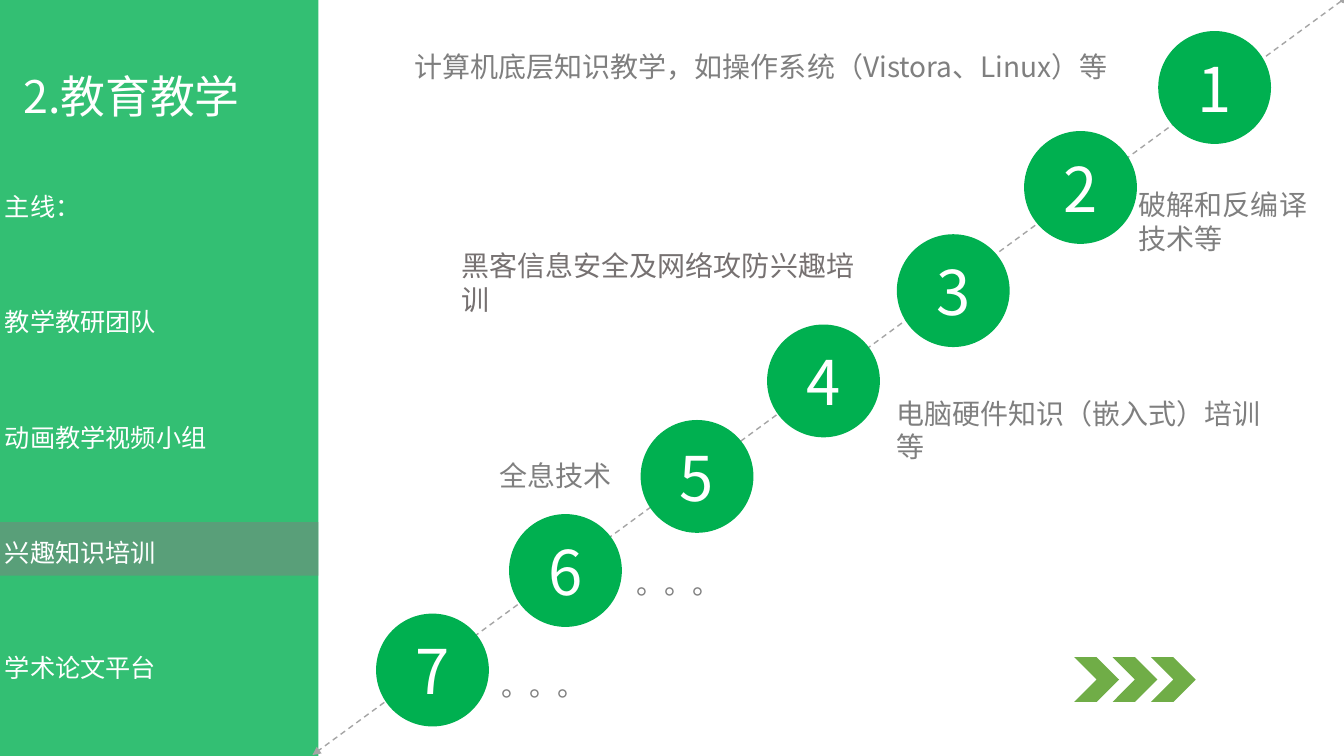
import pptx
import pptx.util
import pptx.dml.color
import pptx.enum.dml
import pptx.enum.lang
import pptx.enum.shapes
import pptx.enum.text
import pptx.oxml
import pptx.oxml.ns

Pt = pptx.util.Pt
Shape = pptx.enum.shapes.MSO_SHAPE
Align = pptx.enum.text.PP_ALIGN
Anchor = pptx.enum.text.MSO_ANCHOR
tag = pptx.oxml.ns.qn
COLORS = {
    "green": "00B050",
    "shade": "808080",
    "white": "FFFFFF",
    "gray": "7F7F7F",
    "warm gray": "767171",
    "line": "A5A5A5",
    "arrow": "70AD47",
}
FONT = "Noto Sans CJK SC"

deck = pptx.Presentation()
deck.slide_width, deck.slide_height = Pt(960), Pt(540)
page = deck.slides.add_slide(deck.slide_layouts[6])


def draw(kind, left, top, width, height, color, opacity=100):
    shape = page.shapes.add_shape(kind, Pt(left), Pt(top), Pt(width), Pt(height))
    shape.shadow.inherit = False
    shape.fill.solid()
    shape.fill.fore_color.rgb = pptx.dml.color.RGBColor.from_string(COLORS[color])
    shape.line.fill.background()
    if opacity < 100:
        fill = shape.fill._xPr.find(tag("a:solidFill"))[0]
        fill.append(pptx.oxml.parse_xml(
            f'<a:alpha {pptx.oxml.ns.nsdecls("a")} val="{opacity * 1000}"/>'))
    return shape


def write(text, box=None, area=None, size=20, color="gray", font=FONT,
          align=Align.LEFT, anchor=Anchor.TOP, wrap=False):
    if box is None:
        box = page.shapes.add_textbox(*[Pt(length) for length in area])
    frame = box.text_frame
    frame.word_wrap = wrap
    frame.vertical_anchor = anchor
    frame.text = text
    for para in frame.paragraphs:
        para.alignment = align
        for span in para.runs:
            span.font.size = Pt(size)
            span.font.name = font
            span.font.language_id = pptx.enum.lang.MSO_LANGUAGE_ID.SIMPLIFIED_CHINESE
            span.font.color.rgb = pptx.dml.color.RGBColor.from_string(COLORS[color])
            span.font._element.find(tag("a:latin")).addnext(pptx.oxml.parse_xml(
                f'<a:ea {pptx.oxml.ns.nsdecls("a")} typeface="{FONT}"/>'))


draw(Shape.RECTANGLE, 0, 0, 227.5, 540, "green", opacity=80)
write("2.教育教学", area=(0, 45.4, 188, 48.2), size=32, color="white",
      align=Align.CENTER, wrap=True)
draw(Shape.RECTANGLE, 0, 373, 227.5, 38.2, "shade", opacity=50)

menu = ["主线：", "教学教研团队", "动画教学视频小组", "兴趣知识培训", "学术论文平台"]
for index, label in enumerate(menu):
    width = 14.4 + 18 * len(label)
    write(label, area=(-3.6, 133.2 + 82.3 * index, width, 30.2), size=18, color="white")

path_line = page.shapes.add_connector(
    pptx.enum.shapes.MSO_CONNECTOR.STRAIGHT, Pt(960), Pt(-0.7), Pt(223.2), Pt(539.3))
path_line.line.color.rgb = pptx.dml.color.RGBColor.from_string(COLORS["line"])
path_line.line.width = Pt(1)
path_line.line.dash_style = pptx.enum.dml.MSO_LINE.DASH
outline = path_line.line._get_or_add_ln()
for end, kind in (("headEnd", "oval"), ("tailEnd", "triangle")):
    outline.append(pptx.oxml.parse_xml(
        f'<a:{end} {pptx.oxml.ns.nsdecls("a")} type="{kind}"/>'))
path_line._element.spPr.append(pptx.oxml.parse_xml(
    f'<a:effectLst {pptx.oxml.ns.nsdecls("a")}/>'))

steps = [(827.3, 22.2), (731.5, 93.6), (640.6, 167.3), (547.9, 231.8),
         (457.6, 300), (363.6, 367.2), (268.6, 438.3)]
for number, (left, top) in enumerate(steps, 1):
    circle = draw(Shape.OVAL, left, top, 80.6, 80.6, "green")
    write(str(number), box=circle, size=44, color="white",
          align=Align.CENTER, anchor=Anchor.MIDDLE, wrap=True)

write("计算机底层知识教学，如操作系统（Vistora、Linux）等",
      area=(288.9, 31.7, 533.5, 33.1), wrap=True)
write("破解和反编译\n技术等", area=(806.4, 130.3, 134.6, 56.9))
write("黑客信息安全及网络攻防兴趣培训", area=(322.6, 174.2, 313.5, 31),
      color="warm gray", font="Calibri", wrap=True)
write("电脑硬件知识（嵌入式）培训等", area=(633.2, 279.4, 293.5, 33.1), wrap=True)
write("全息技术", area=(349.9, 324, 94.3, 33.1))
for left, top in ((447.8, 401), (351.4, 473.8)):
    write("。。。", area=(left, top, 74.2, 33.1))

for index in range(3):
    draw(Shape.CHEVRON, 767.3 + 27.4 * index, 469.4, 32, 32, "arrow")

deck.save("out.pptx")
